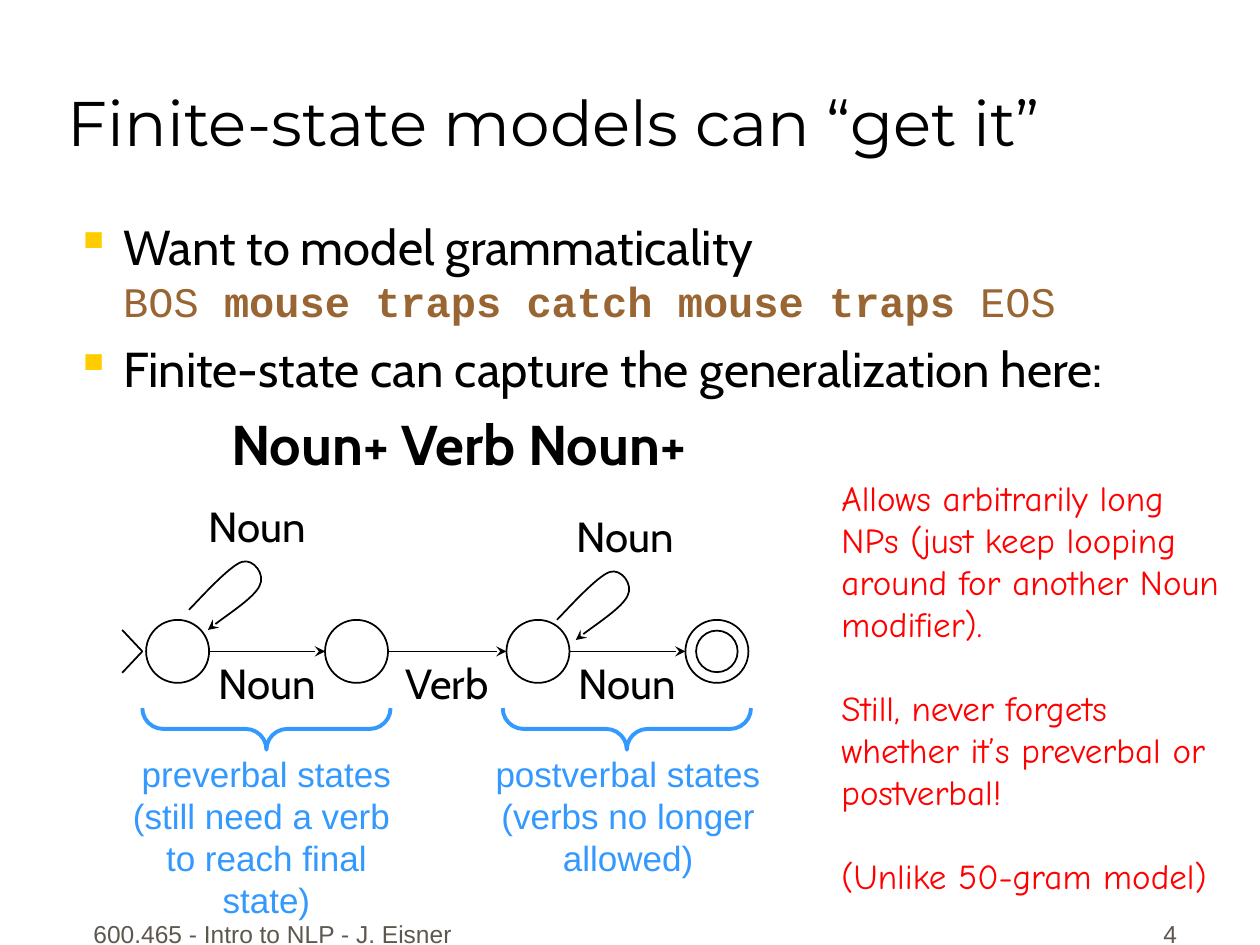
from pptx import Presentation
from pptx.dml.color import RGBColor
from pptx.enum.shapes import MSO_CONNECTOR, MSO_SHAPE
from pptx.enum.text import MSO_ANCHOR, PP_ALIGN
from pptx.oxml.ns import qn
from pptx.oxml.xmlchemy import OxmlElement
from pptx.util import Inches, Pt

LEFT, CENTER, RIGHT = PP_ALIGN.LEFT, PP_ALIGN.CENTER, PP_ALIGN.RIGHT
TOP, MIDDLE, BOTTOM = MSO_ANCHOR.TOP, MSO_ANCHOR.MIDDLE, MSO_ANCHOR.BOTTOM
OVAL, BRACE = MSO_SHAPE.OVAL, MSO_SHAPE.LEFT_BRACE
STRAIGHT = MSO_CONNECTOR.STRAIGHT
BLACK, BLUE, BROWN, RED = "000000", "3399FF", "996633", "FF0000"
GOLD, GREY = "FFCC00", "5E574E"


def color(value):
    return RGBColor.from_string(value)


def add_span(para, text, size=24, font="Cabin", fill=BLACK, bold=False):
    for number, part in enumerate(text.split("\n")):
        if number:
            para.add_line_break()
        if not part:
            continue
        span = para.add_run()
        span.text = part
        span.font.size = Pt(size)
        span.font.name = font
        span.font.bold = bold
        span.font.color.rgb = color(fill)


def add_text(shapes, box, text, align=LEFT, anchor=TOP, wrap=True, gap=0, **style):
    frame = shapes.add_textbox(*map(Inches, box)).text_frame
    frame.word_wrap = wrap
    frame.vertical_anchor = anchor
    paragraphs = [text] if isinstance(text, str) else text
    for number, content in enumerate(paragraphs):
        para = frame.add_paragraph() if number else frame.paragraphs[0]
        para.alignment = align
        if number:
            para.space_before = Pt(gap)
        if isinstance(content, str):
            content = [(content, style)]
        for words, span_style in content:
            add_span(para, words, **span_style)
    return frame


def outline(shape, line=BLACK, width=1):
    shape.shadow.inherit = False
    shape.fill.background()
    shape.line.color.rgb = color(line)
    shape.line.width = Pt(width)


def add_arrowhead(shape):
    tail = OxmlElement("a:tailEnd")
    tail.set("type", "stealth")
    shape.line._get_or_add_ln().append(tail)


def add_circle(shapes, x, y, size):
    corner = Inches(x - size / 2), Inches(y - size / 2)
    outline(shapes.add_shape(OVAL, *corner, Inches(size), Inches(size)))


def add_arrow(shapes, start, end, y):
    arrow = shapes.add_connector(STRAIGHT, *map(Inches, (start, y, end, y)))
    arrow.line.color.rgb = color(BLACK)
    arrow.line.width = Pt(1)
    add_arrowhead(arrow)
    arrow.element.spPr.append(OxmlElement("a:effectLst"))


def add_outline(shapes, x, y, points):
    places = [(Inches(x + dx), Inches(y + dy)) for dx, dy in points]
    builder = shapes.build_freeform(*places[0], scale=1.0)
    builder.add_line_segments(places[1:], close=False)
    shape = builder.convert_to_shape()
    outline(shape)
    return shape


def add_loop(shapes, x, y):
    points = [(0, 0.41), (0.07, 0.34), (0.32, 0.06), (0.42, 0.03), (0.51, 0),
              (0.61, 0.13), (0.56, 0.22), (0.52, 0.31), (0.23, 0.5), (0.15, 0.57)]
    loop = add_outline(shapes, x, y, points)
    route = next(loop.element.iter(qn("a:path")))
    steps = route.findall(qn("a:lnTo"))
    for first in range(0, len(steps), 3):
        curve = OxmlElement("a:cubicBezTo")
        for step in steps[first:first + 3]:
            curve.append(step[0])
            route.remove(step)
        route.append(curve)
    add_arrowhead(loop)


def add_title(page, box):
    add_text(page.shapes, box, "Finite-state models can “get it”", anchor=BOTTOM,
             size=36, font="Montserrat")


def add_bullets(page, box):
    main = {"size": 28}
    code = {"font": "Courier New", "fill": BROWN}
    items = [
        [("Want to model grammaticality\n", main), ("BOS ", code),
         ("mouse traps catch mouse traps", {**code, "bold": True}), (" EOS", code)],
        [("Finite-state can capture the generalization here:", main)],
    ]
    frame = add_text(page.shapes, box, items, gap=7)
    for para in frame.paragraphs:
        properties = para._p.get_or_add_pPr()
        properties.set("marL", str(Inches(0.38)))
        properties.set("indent", str(Inches(-0.38)))
        bullet_color = OxmlElement("a:buClr")
        shade = OxmlElement("a:srgbClr")
        shade.set("val", GOLD)
        bullet_color.append(shade)
        bullet = OxmlElement("a:buChar")
        bullet.set("char", "▪")
        properties.extend([bullet_color, bullet])


def add_machine(page, left, top):
    shapes = page.shapes.add_group_shape().shapes
    axis, radius = top + 1.25, 0.25
    states = [left + offset for offset in (0.44, 1.86, 3.3, 4.72)]
    for x in states:
        add_circle(shapes, x, axis, 2 * radius)
    add_circle(shapes, states[-1], axis, 0.33)
    for start, end in zip(states, states[1:]):
        add_arrow(shapes, start + radius, end - radius, axis)
    add_outline(shapes, left, axis - 0.17, [(0, 0), (0.16, 0.17), (0, 0.34)])
    label = {"align": CENTER, "anchor": MIDDLE, "wrap": False}
    for x, word in ((0.62, "Noun"), (2.05, "Verb"), (3.48, "Noun")):
        add_text(shapes, (left + x, axis, 1.06, 0.5), word, **label)
    for x, y in ((0.53, 0), (3.45, 0.08)):
        add_loop(shapes, left + x, top + y + 0.51)
        add_text(shapes, (left + x + 0.01, top + y, 1.06, 0.5), "Noun", **label)


def add_phase(page, left, top, width, text, shift):
    shapes = page.shapes.add_group_shape().shapes
    depth = 0.33
    center = left + width / 2
    brace = shapes.add_shape(BRACE, Inches(center - depth / 2),
                             Inches(top + depth / 2 - width / 2),
                             Inches(depth), Inches(width))
    brace.rotation = 270
    brace.adjustments[0] = 0.5
    outline(brace, BLUE, 2.25)
    add_text(shapes, (center - 1.28 + shift, top + 0.3, 2.56, 1.1), text,
             align=CENTER, wrap=False, size=20, font="Arial", fill=BLUE)


def add_remarks(page, box):
    remarks = [
        "Allows arbitrarily long NPs (just keep looping around for another Noun modifier).",
        "Still, never forgets whether it’s preverbal or postverbal!",
        "(Unlike 50-gram model)",
    ]
    add_text(page.shapes, box, remarks, gap=24, size=20, font="Comic Neue", fill=RED)


def add_footer(page, left, top):
    style = {"anchor": BOTTOM, "size": 14, "font": "Arial", "fill": GREY}
    add_text(page.shapes, (left, top, 3.17, 0.5), "600.465 - Intro to NLP - J. Eisner",
             align=CENTER, **style)
    add_text(page.shapes, (left + 6.78, top, 2.08, 0.5), "4", align=RIGHT, **style)


def main():
    deck = Presentation()
    deck.slide_width, deck.slide_height = Inches(10), Inches(7.5)
    page = deck.slides.add_slide(deck.slide_layouts[6])
    add_bullets(page, (0.5, 1.67, 9.33, 1.6))
    add_title(page, (0.44, 0.06, 9.06, 1.25))
    add_text(page.shapes, (1.43, 3.2, 4.42, 0.64), "Noun+ Verb Noun+",
             align=CENTER, wrap=False, size=32, bold=True)
    add_machine(page, 0.97, 3.92)
    add_phase(page, 1.13, 5.62, 1.97,
              "preverbal states\n(still need a verb \nto reach final state)", 0)
    add_phase(page, 3.99, 5.62, 1.97,
              "postverbal states\n(verbs no longer\nallowed)", 0.01)
    add_remarks(page, (6.58, 3.73, 3.25, 3.44))
    add_footer(page, 0.58, 7.08)
    deck.save("out.pptx")


if __name__ == "__main__":
    main()
